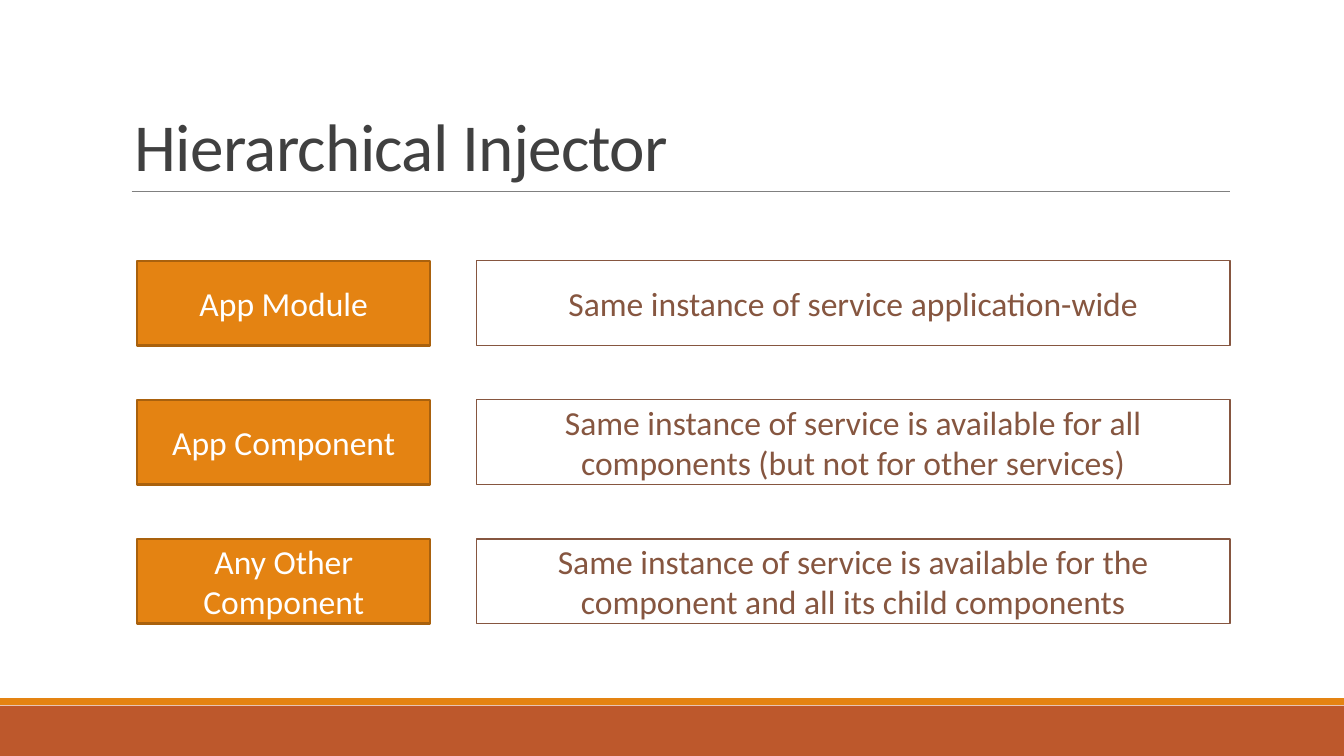
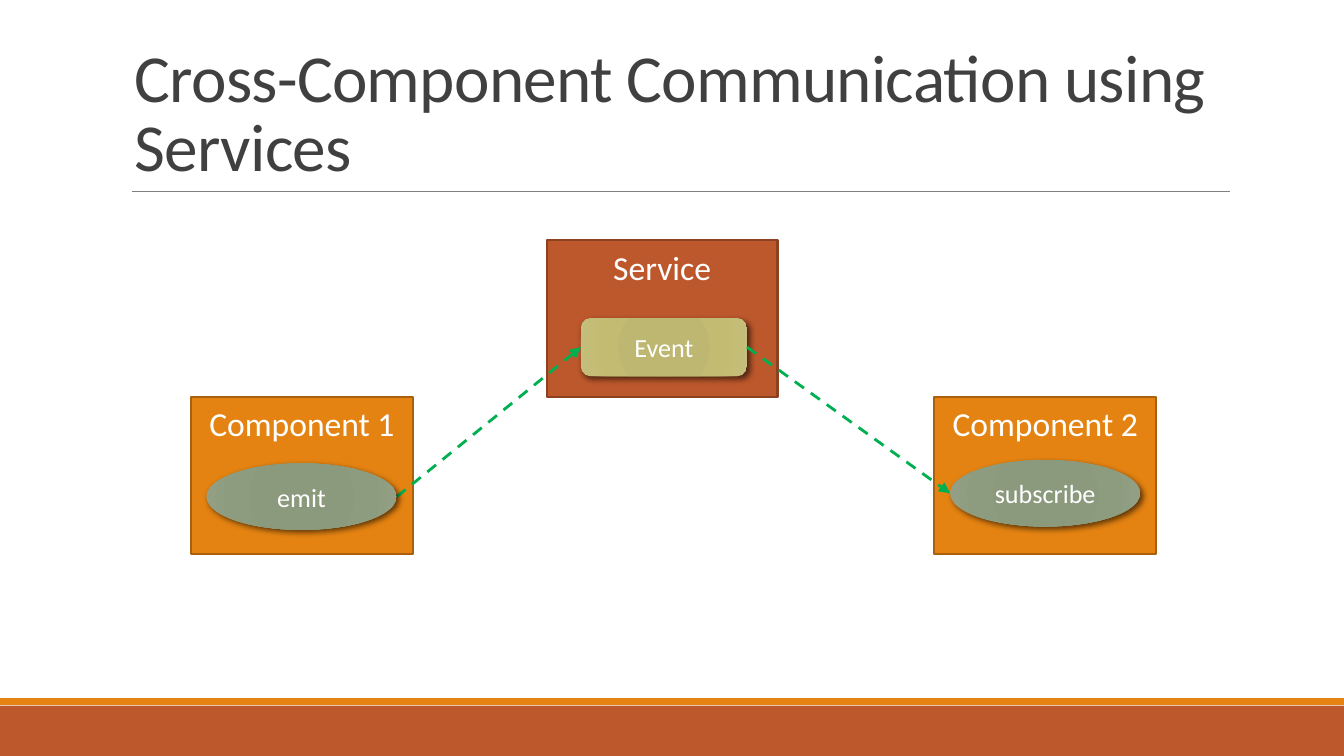
from lxml import etree
from pptx import Presentation
from pptx.dml.color import RGBColor
from pptx.enum.dml import MSO_LINE as Dash
from pptx.enum.shapes import MSO_CONNECTOR as Conn, MSO_SHAPE as Shape
from pptx.enum.text import MSO_ANCHOR as Anchor, MSO_AUTO_SIZE as AutoSize, PP_ALIGN as Align
from pptx.oxml.ns import qn
from pptx.util import Pt

FONT = "Calibri"
WHITE = RGBColor(0xFF, 0xFF, 0xFF)
BLACK = RGBColor(0, 0, 0)
TITLE_GREY = RGBColor(0x40, 0x40, 0x40)
RULE_GREY = RGBColor(0x80, 0x80, 0x80)
ORANGE = RGBColor(0xE4, 0x83, 0x12)
ORANGE_EDGE = RGBColor(0xA9, 0x61, 0x0D)
RUST = RGBColor(0xBD, 0x58, 0x2C)
RUST_EDGE = RGBColor(0x8C, 0x41, 0x21)
BROWN = RGBColor(0x86, 0x56, 0x40)
GREEN = RGBColor(0x00, 0xB0, 0x50)
OLIVE = [(0, RGBColor(0xBE, 0xB7, 0x6E)), (34, RGBColor(0xBE, 0xB7, 0x71)),
         (70, RGBColor(0xC3, 0xBB, 0x71)), (100, RGBColor(0xC5, 0xBF, 0x7D))]
SAGE = [(0, RGBColor(0x8A, 0x98, 0x7B)), (34, RGBColor(0x8B, 0x99, 0x7D)),
        (70, RGBColor(0x8D, 0x9C, 0x7E)), (100, RGBColor(0x94, 0xA1, 0x87))]

SLIDE_W, SLIDE_H = 720, 405
RIGHT = 659


def sub(parent, tag, **attrs):
    return etree.SubElement(parent, qn(tag), {k: str(v) for k, v in attrs.items()})


class Deck:
    def __init__(self):
        self.prs = Presentation()
        self.prs.slide_width, self.prs.slide_height = Pt(SLIDE_W), Pt(SLIDE_H)
        self.slide = None

    def add_slide(self, title):
        self.slide = self.prs.slides.add_slide(self.prs.slide_layouts[5])
        self.box(0, 378, SLIDE_W, 27, fill=RUST)
        self.box(0, 374, SLIDE_W, 3.6, fill=ORANGE)
        self.line((70.5, 102.7), (RIGHT, 102.7), RULE_GREY, 0.5)
        self.title(title)

    def title(self, text):
        sp = self.slide.shapes.title
        sp.left, sp.top, sp.width, sp.height = Pt(65), Pt(17), Pt(594), Pt(85.7)
        tf = sp.text_frame
        tf.auto_size = AutoSize.NONE
        self.set_text(tf, text, 36, TITLE_GREY, Anchor.BOTTOM, Align.LEFT)
        p = tf.paragraphs[0]
        p.line_spacing = 0.85
        p.runs[0].font._element.set("spc", "-40")

    def set_text(self, tf, text, size, color, anchor, align=Align.CENTER):
        tf.text = text
        tf.word_wrap = True
        tf.vertical_anchor = anchor
        p = tf.paragraphs[0]
        p.alignment = align
        font = p.runs[0].font
        font.name, font.size, font.color.rgb = FONT, Pt(size), color

    def box(self, x, y, w, h, text="", fill=None, edge=None, weight=1.25, size=18,
            color=WHITE, anchor=Anchor.MIDDLE, kind=Shape.RECTANGLE):
        sp = self.slide.shapes.add_shape(kind, Pt(x), Pt(y), Pt(w), Pt(h))
        sp.shadow.inherit = False
        if fill is None:
            sp.fill.background()
        else:
            sp.fill.solid()
            sp.fill.fore_color.rgb = fill
        if edge is None:
            sp.line.fill.background()
        else:
            sp.line.color.rgb, sp.line.width = edge, Pt(weight)
        if text:
            self.set_text(sp.text_frame, text, size, color, anchor)
        return sp

    def glossy(self, kind, x, y, w, h, text, stops):
        """Add a shape with a radial gradient and a soft shadow."""
        sp = self.box(x, y, w, h, text, size=14, kind=kind)
        sp_pr = sp._element.spPr
        grad = etree.Element(qn("a:gradFill"), rotWithShape="1")
        gs_lst = sub(grad, "a:gsLst")
        for pos, color in stops:
            sub(sub(gs_lst, "a:gs", pos=pos * 1000), "a:srgbClr", val=color)
        radial = sub(grad, "a:path", path="circle")
        sub(radial, "a:fillToRect", **dict.fromkeys("ltrb", 100000))
        sp_pr.replace(sp_pr.find(qn("a:noFill")), grad)
        shadow = sub(sp_pr.find(qn("a:effectLst")), "a:outerShdw", blurRad=Pt(3.5),
                     dist=Pt(2), dir=45 * 60000, algn="ctr", rotWithShape=0)
        sub(sub(shadow, "a:srgbClr", val=BLACK), "a:alpha", val=60000)
        return sp

    def line(self, start, end, color, weight):
        cn = self.slide.shapes.add_connector(Conn.STRAIGHT, *map(Pt, start + end))
        cn.line.color.rgb, cn.line.width = color, Pt(weight)
        sub(cn._element.spPr, "a:effectLst")
        return cn

    def dashed_arrow(self, start, end):
        cn = self.line(start, end, GREEN, 1.5)
        cn.line.dash_style = Dash.DASH
        sub(cn._element.spPr.find(qn("a:ln")), "a:tailEnd", type="triangle")
        return cn


def injector_slide(deck):
    deck.add_slide("Hierarchical Injector")
    levels = [
        ("App Module", "Same instance of service application-wide"),
        ("App Component", "Same instance of service is available for all components "
                          "(but not for other services)"),
        ("Any Other Component", "Same instance of service is available for the component "
                                "and all its child components"),
    ]
    for i, (level, scope) in enumerate(levels):
        y = 139.7 + 74.5 * i
        deck.box(73.5, y, 157, 45.4, level, ORANGE, ORANGE_EDGE)
        deck.box(255.3, y, RIGHT - 255.3, 45.4, scope, edge=BROWN, weight=0.75, color=BROWN)


def communication_slide(deck):
    deck.add_slide("Cross-Component Communication using Services")
    card_h, oval_w, oval_h = 84.2, 102, 35.6
    emit_x, emit_y = 110.6, 248.3
    subscribe_x, subscribe_y = 509, 246.5

    deck.box(293, 128.6, 123.6, card_h, "Service", RUST, RUST_EDGE, anchor=Anchor.TOP)
    for x, name in ((102.3, "Component 1"), (500.5, "Component 2")):
        deck.box(x, 212.6, 119, card_h, name, ORANGE, ORANGE_EDGE, anchor=Anchor.TOP)

    event = deck.glossy(Shape.ROUNDED_RECTANGLE, 311.2, 170.5, 89, 31, "Event", OLIVE)
    to_event = deck.dashed_arrow((emit_x + oval_w, emit_y + oval_h / 2), (311.2, 186))
    to_event.end_connect(event, 1)
    deck.glossy(Shape.OVAL, emit_x, emit_y, oval_w, oval_h, "emit", SAGE)
    deck.glossy(Shape.OVAL, subscribe_x, subscribe_y, oval_w, oval_h, "subscribe", SAGE)
    from_event = deck.dashed_arrow((400.2, 186), (subscribe_x, subscribe_y + oval_h / 2))
    from_event.begin_connect(event, 3)


def main():
    deck = Deck()
    injector_slide(deck)
    communication_slide(deck)
    deck.prs.save("out.pptx")


if __name__ == "__main__":
    main()
